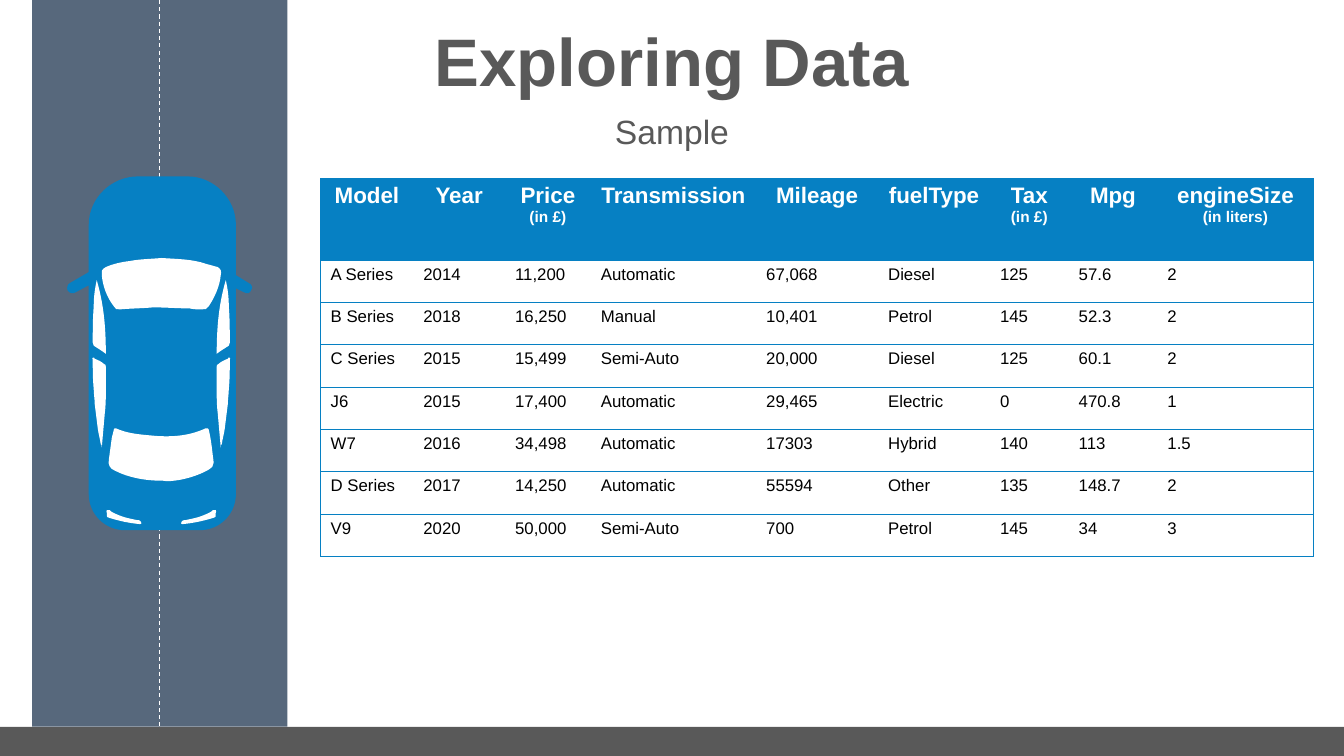
from pptx import Presentation
from pptx.dml.color import RGBColor
from pptx.enum.dml import MSO_LINE
from pptx.enum.shapes import MSO_CONNECTOR, MSO_SHAPE
from pptx.enum.text import MSO_ANCHOR, PP_ALIGN
from pptx.oxml.ns import qn
from pptx.util import Inches, Pt
from lxml import etree

RECT, STRAIGHT, DASH = MSO_SHAPE.RECTANGLE, MSO_CONNECTOR.STRAIGHT, MSO_LINE.DASH
MIDDLE, CENTER, LEFT = MSO_ANCHOR.MIDDLE, PP_ALIGN.CENTER, PP_ALIGN.LEFT
GRAY = RGBColor(0x59, 0x59, 0x59)
SLATE = RGBColor(0x57, 0x68, 0x7C)
BLUE = RGBColor(0x06, 0x80, 0xC3)
WHITE = RGBColor(0xFF, 0xFF, 0xFF)
BLACK = RGBColor(0x00, 0x00, 0x00)

WIDTH, HEIGHT = 13.33, 7.5
FOOTER_TOP = 7.21
ROAD_LEFT, ROAD_WIDTH = 0.32, 2.53
TABLE_LEFT, TABLE_TOP = 3.18, 1.77
HEADER_HEIGHT, ROW_HEIGHT = 0.81, 0.42
CAR_AXIS = 1.6

HEADINGS = [
    (0.22, 0.85, "Exploring Data", {"size": Pt(48), "bold": True}),
    (1.1, 0.46, "Sample", {"size": Pt(24), "bold": False}),
]
COLUMNS = [
    ("Model", "", 0.92), ("Year", "", 0.91), ("Price", "(in £)", 0.85),
    ("Transmission", "", 1.64), ("Mileage", "", 1.21), ("fuelType", "", 1.11),
    ("Tax", "(in £)", 0.78), ("Mpg", "", 0.88), ("engineSize", "(in liters)", 1.55),
]
ROWS = [
    ("A Series", "2014", "11,200", "Automatic", "67,068", "Diesel", "125", "57.6", "2"),
    ("B Series", "2018", "16,250", "Manual", "10,401", "Petrol", "145", "52.3", "2"),
    ("C Series", "2015", "15,499", "Semi-Auto", "20,000", "Diesel", "125", "60.1", "2"),
    ("J6", "2015", "17,400", "Automatic", "29,465", "Electric", "0", "470.8", "1"),
    ("W7", "2016", "34,498", "Automatic", "17303", "Hybrid", "140", "113", "1.5"),
    ("D Series", "2017", "14,250", "Automatic", "55594", "Other", "135", "148.7", "2"),
    ("V9", "2020", "50,000", "Semi-Auto", "700", "Petrol", "145", "34", "3"),
]

BODY = [
    (2.47, 2.81), (2.34, 2.73), (2.34, 2.23), (2.34, 1.97, 2.12, 1.75, 1.86, 1.75),
    (1.37, 1.75), (1.1, 1.75, 0.88, 1.97, 0.88, 2.23), (0.88, 2.7), (0.69, 2.81),
    (0.67, 2.82, 0.66, 2.86, 0.67, 2.88), (0.69, 2.91, 0.72, 2.92, 0.75, 2.9),
    (0.88, 2.83), (0.88, 4.9), (0.88, 5.1, 1.04, 5.26, 1.24, 5.26), (1.98, 5.26),
    (2.18, 5.26, 2.34, 5.1, 2.34, 4.9), (2.34, 2.86), (2.42, 2.9),
    (2.45, 2.92, 2.48, 2.91, 2.49, 2.88), (2.51, 2.86, 2.5, 2.82, 2.47, 2.81),
]
WINDSHIELD = [
    (1.6, 2.56), (1.75, 2.57, 1.91, 2.57, 2.05, 2.62), (2.09, 2.63, 2.12, 2.64, 2.16, 2.65),
    (2.19, 2.67, 2.2, 2.69, 2.19, 2.73), (2.18, 2.84, 2.13, 2.95, 2.07, 3.04),
    (2.06, 3.06, 2.03, 3.08, 2, 3.07), (1.96, 3.07, 1.92, 3.07, 1.88, 3.06),
    (1.76, 3.06, 1.64, 3.05, 1.52, 3.05), (1.41, 3.06, 1.3, 3.06, 1.19, 3.07),
    (1.16, 3.08, 1.14, 3.06, 1.13, 3.04), (1.06, 2.95, 1.02, 2.84, 1.01, 2.73),
    (1, 2.7, 1.01, 2.67, 1.05, 2.65), (1.12, 2.62, 1.2, 2.6, 1.29, 2.59),
    (1.39, 2.57, 1.5, 2.57, 1.6, 2.56),
]
REAR_WINDOW = [
    (2.06, 4.25), (2.06, 4.25, 2.06, 4.25, 2.07, 4.26), (2.09, 4.34, 2.1, 4.42, 2.11, 4.51),
    (2.11, 4.53, 2.12, 4.56, 2.12, 4.59), (2.12, 4.62, 2.1, 4.65, 2.07, 4.66),
    (1.98, 4.71, 1.89, 4.74, 1.79, 4.76), (1.73, 4.77, 1.66, 4.78, 1.62, 4.77),
    (1.44, 4.77, 1.28, 4.74, 1.14, 4.67), (1.09, 4.65, 1.07, 4.61, 1.08, 4.56),
    (1.09, 4.49, 1.1, 4.41, 1.11, 4.34), (1.12, 4.32, 1.12, 4.29, 1.13, 4.26),
    (1.13, 4.25, 1.14, 4.25, 1.15, 4.25), (1.26, 4.3, 1.38, 4.31, 1.49, 4.32),
    (1.68, 4.34, 1.87, 4.33, 2.04, 4.25), (2.05, 4.25, 2.05, 4.25, 2.06, 4.25),
]
FRONT_SIDE = [
    (0.96, 2.78), (1.03, 3.02, 1.05, 3.25, 1.05, 3.51), (1.01, 3.48, 0.96, 3.45, 0.93, 3.43),
    (0.92, 3.42, 0.92, 3.41, 0.92, 3.4), (0.92, 3.28, 0.92, 3.16, 0.93, 3.04),
    (0.93, 2.95, 0.94, 2.87, 0.96, 2.78),
]
BACK_SIDE = [
    (0.92, 3.55), (0.93, 3.54, 0.94, 3.55, 0.94, 3.56), (0.97, 3.57, 1.01, 3.59, 1.03, 3.61),
    (1.05, 3.62, 1.05, 3.62, 1.05, 3.64), (1.05, 3.72, 1.05, 3.79, 1.05, 3.87),
    (1.05, 3.94, 1.05, 4.02, 1.04, 4.1), (1.03, 4.21, 1.02, 4.33, 1.01, 4.44),
    (1.01, 4.44, 1.01, 4.4, 1, 4.41), (0.99, 4.34, 0.98, 4.32, 0.97, 4.25),
    (0.96, 4.17, 0.95, 4.09, 0.94, 4.01), (0.94, 3.96, 0.93, 3.91, 0.93, 3.86),
    (0.92, 3.76, 0.92, 3.67, 0.92, 3.57), (0.92, 3.56, 0.91, 3.55, 0.92, 3.55),
]
TAIL_LIGHT = [
    (1.06, 5.06), (1.08, 5.05, 1.1, 5.07, 1.11, 5.08), (1.21, 5.13, 1.26, 5.14, 1.36, 5.16),
    (1.38, 5.16, 1.39, 5.16, 1.4, 5.18), (1.4, 5.19, 1.41, 5.2, 1.39, 5.2),
    (1.28, 5.19, 1.19, 5.17, 1.09, 5.14), (1.05, 5.13, 1.06, 5.12, 1.06, 5.09),
    (1.06, 5.08, 1.05, 5.07, 1.06, 5.06),
]


def mirror(outline):
    return [tuple(v if k % 2 else 2 * CAR_AXIS - v for k, v in enumerate(s)) for s in outline]


def paint(sp, color):
    sp.shadow.inherit = False
    sp.fill.solid()
    sp.fill.fore_color.rgb = color
    sp.line.fill.background()


def add_outline(shapes, outlines, color):
    outlines = [[[Inches(v) for v in step] for step in outline] for outline in outlines]
    builder = shapes.build_freeform(*outlines[0][0], scale=1.0)
    for i, outline in enumerate(outlines):
        if i:
            builder.move_to(*outline[0])
        builder.add_line_segments([step[-2:] for step in outline[1:]], close=True)
    sp = builder.convert_to_shape()
    paint(sp, color)
    steps = [step for outline in outlines for step in outline[1:]]
    for segment, step in zip(list(sp._element.iter(qn("a:lnTo"))), steps):
        if len(step) == 2:
            continue
        curve = etree.Element(qn("a:cubicBezTo"))
        for x, y in zip(step[::2], step[1::2]):
            etree.SubElement(curve, qn("a:pt"), x=str(x - sp.left), y=str(y - sp.top))
        segment.getparent().replace(segment, curve)


def write(p, text, align, color, style):
    p.alignment = align
    r = p.add_run()
    r.text = text
    r.font.color.rgb = color
    for name, value in {"name": "Arial", **style}.items():
        setattr(r.font, name, value)


def set_borders(cell, sides):
    tc_pr = cell._tc.get_or_add_tcPr()
    for side in "LRTB":
        ln = etree.SubElement(tc_pr, qn(f"a:ln{side}"), w=str(Pt(0.5)))
        if side in sides:
            fill = etree.SubElement(ln, qn("a:solidFill"))
            etree.SubElement(fill, qn("a:srgbClr"), val=str(BLUE))
        else:
            etree.SubElement(ln, qn("a:noFill"))


prs = Presentation()
prs.slide_width, prs.slide_height = Inches(WIDTH), Inches(HEIGHT)
slide = prs.slides.add_slide(prs.slide_layouts[6])
shapes = slide.shapes

footer = shapes.add_shape(RECT, 0, Inches(FOOTER_TOP), Inches(WIDTH), Inches(HEIGHT - FOOTER_TOP))
paint(footer, GRAY)
road = shapes.add_shape(RECT, Inches(ROAD_LEFT), 0, Inches(ROAD_WIDTH), Inches(FOOTER_TOP))
paint(road, SLATE)

lane = shapes.add_connector(STRAIGHT, 0, 0, 0, 0)
lane.begin_connect(road, 0)
lane.end_connect(road, 2)
lane.line.color.rgb = WHITE
lane.line.width = Pt(0.75)
lane.line.dash_style = DASH
etree.SubElement(lane._element.spPr, qn("a:effectLst"))

car = shapes.add_group_shape()
left_parts = [FRONT_SIDE, BACK_SIDE, TAIL_LIGHT]
glass = [WINDSHIELD, REAR_WINDOW] + left_parts + [mirror(part) for part in left_parts]
add_outline(car.shapes, [BODY], BLUE)
add_outline(car.shapes, glass, WHITE)

for top, height, text, style in HEADINGS:
    tf = shapes.add_textbox(0, Inches(top), Inches(WIDTH), Inches(height)).text_frame
    tf.word_wrap = True
    tf.vertical_anchor = MIDDLE
    tf.paragraphs[0].line_spacing = 0.9
    write(tf.paragraphs[0], text, CENTER, GRAY, style)

table_width = sum(width for _, _, width in COLUMNS)
table_height = HEADER_HEIGHT + ROW_HEIGHT * len(ROWS)
table = shapes.add_table(len(ROWS) + 1, len(COLUMNS), Inches(TABLE_LEFT), Inches(TABLE_TOP),
                         Inches(table_width), Inches(table_height)).table
table.horz_banding = False
for i, row in enumerate(table.rows):
    row.height = Inches(ROW_HEIGHT if i else HEADER_HEIGHT)
    for j, (name, unit, width) in enumerate(COLUMNS):
        table.columns[j].width = Inches(width)
        cell = table.cell(i, j)
        set_borders(cell, "TB" + "L" * (j == 0) + "R" * (j == len(COLUMNS) - 1))
        cell.fill.solid()
        cell.fill.fore_color.rgb = WHITE if i else BLUE
        tf = cell.text_frame
        if i:
            write(tf.paragraphs[0], ROWS[i - 1][j], LEFT, BLACK, {"size": Pt(12), "bold": False})
            continue
        write(tf.paragraphs[0], name, CENTER, WHITE, {"size": Pt(16), "bold": True})
        if unit:
            write(tf.add_paragraph(), unit, CENTER, WHITE, {"size": Pt(11), "bold": True})

prs.save("out.pptx")
